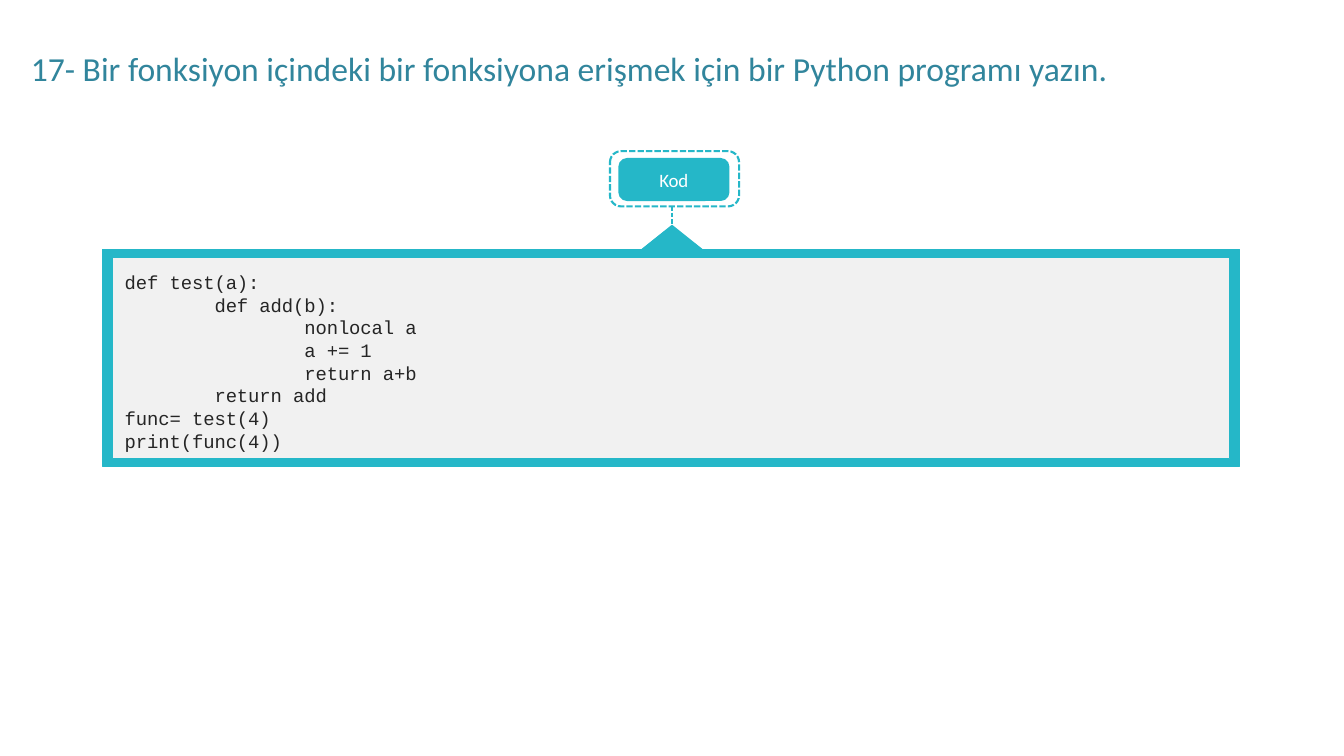
from lxml.etree import SubElement
from pptx import Presentation
from pptx.dml.color import RGBColor
from pptx.enum.dml import MSO_LINE
from pptx.enum.shapes import MSO_CONNECTOR, MSO_SHAPE
from pptx.enum.text import MSO_ANCHOR, PP_ALIGN
from pptx.oxml.ns import qn
from pptx.util import Pt

TEAL = RGBColor(0x25, 0xB7, 0xC8)
PANEL_GRAY = RGBColor(0xF1, 0xF1, 0xF1)
CODE_DARK = RGBColor(0x25, 0x25, 0x25)
TITLE_BLUE = RGBColor(0x31, 0x85, 0x9C)
WHITE = RGBColor(0xFF, 0xFF, 0xFF)

TITLE = "17- Bir fonksiyon içindeki bir fonksiyona erişmek için bir Python programı yazın."
CODE = """def test(a):
        def add(b):
                nonlocal a
                a += 1
                return a+b
        return add
func= test(4)
print(func(4))"""

TITLE_FONT = {"name": "Calibri", "size": Pt(32)}
LABEL_FONT = {"name": "Calibri", "size": Pt(18)}
CODE_FONT = {"name": "Courier New", "size": Pt(18)}
CODE_FRAME = {"margin_left": Pt(11.5), "margin_top": Pt(13), "margin_right": 0,
              "margin_bottom": 0, "vertical_anchor": MSO_ANCHOR.TOP}
LABEL_FRAME = {"margin_left": 0, "margin_top": 0, "margin_right": 0,
               "margin_bottom": 0, "vertical_anchor": MSO_ANCHOR.MIDDLE}
CODE_PARAGRAPH = {"alignment": PP_ALIGN.LEFT, "line_spacing": 1.0}
LABEL_PARAGRAPH = {"alignment": PP_ALIGN.CENTER}


def apply(target, values):
    for attribute, value in values.items():
        setattr(target, attribute, value)


def add_block(slide, kind, box, fill=None, line_width=None, corner=None):
    """Add a preset shape with an optional fill and teal outline."""
    block = slide.shapes.add_shape(kind, *map(Pt, box))
    block.shadow.inherit = False
    if fill is None:
        block.fill.background()
    else:
        block.fill.solid()
        block.fill.fore_color.rgb = fill
    if line_width is None:
        block.line.fill.background()
    else:
        block.line.color.rgb = TEAL
        block.line.width = Pt(line_width)
    if corner is not None:
        block.adjustments[0] = corner
    return block


def write(holder, text, font, color, frame=None, paragraph_format=None, spacing=0):
    """Write one paragraph per line; spacing is in hundredths of a point."""
    text_frame = holder.text_frame
    text_frame.word_wrap = True
    apply(text_frame, frame or {})
    for index, content in enumerate(text.split("\n")):
        paragraph = text_frame.add_paragraph() if index else text_frame.paragraphs[0]
        apply(paragraph, paragraph_format or {})
        run = paragraph.add_run()
        run.text = content
        apply(run.font, font)
        run.font.color.rgb = color
        if spacing:
            run._r.get_or_add_rPr().set("spc", str(spacing))


def add_title(slide):
    title = slide.shapes.add_textbox(Pt(22.3), Pt(41.8), Pt(1224), Pt(46))
    write(title, TITLE, TITLE_FONT, TITLE_BLUE)


def add_label(slide):
    add_block(slide, MSO_SHAPE.ROUNDED_RECTANGLE, (581, 144, 123, 52.6),
              line_width=2, corner=0.2).line.dash_style = MSO_LINE.SQUARE_DOT
    button = add_block(slide, MSO_SHAPE.ROUNDED_RECTANGLE, (589, 150.5, 105.8, 41),
                       fill=TEAL, corner=0.2)
    write(button, "Kod", LABEL_FONT, WHITE, LABEL_FRAME, LABEL_PARAGRAPH, -10)


def add_pointer(slide):
    """Add the arrow tip on the code panel and the dashed stem above it."""
    tip = add_block(slide, MSO_SHAPE.ISOSCELES_TRIANGLE, (611.3, 214.6, 57.6, 23),
                    fill=TEAL, line_width=1)
    apex = tip.left + tip.width // 2
    stem = slide.shapes.add_connector(MSO_CONNECTOR.STRAIGHT, apex, Pt(196.6), apex, tip.top)
    stem.end_connect(tip, 0)
    apply(stem.line, {"width": Pt(1.5), "dash_style": MSO_LINE.SQUARE_DOT})
    stem.line.color.rgb = TEAL
    SubElement(stem._element.spPr, qn("a:effectLst"))


def add_code_panel(slide):
    add_block(slide, MSO_SHAPE.RECTANGLE, (98, 237.6, 1083, 206.4), fill=TEAL, line_width=1)
    panel = add_block(slide, MSO_SHAPE.RECTANGLE, (107.3, 244.8, 1064.2, 192.2),
                      fill=PANEL_GRAY, line_width=1)
    write(panel, CODE, CODE_FONT, CODE_DARK, CODE_FRAME, CODE_PARAGRAPH, -10)


def main():
    presentation = Presentation()
    apply(presentation, {"slide_width": Pt(1280.16), "slide_height": Pt(720)})
    slide = presentation.slides.add_slide(presentation.slide_layouts[6])
    add_label(slide)
    add_pointer(slide)
    add_code_panel(slide)
    add_title(slide)
    presentation.save("out.pptx")


if __name__ == "__main__":
    main()
